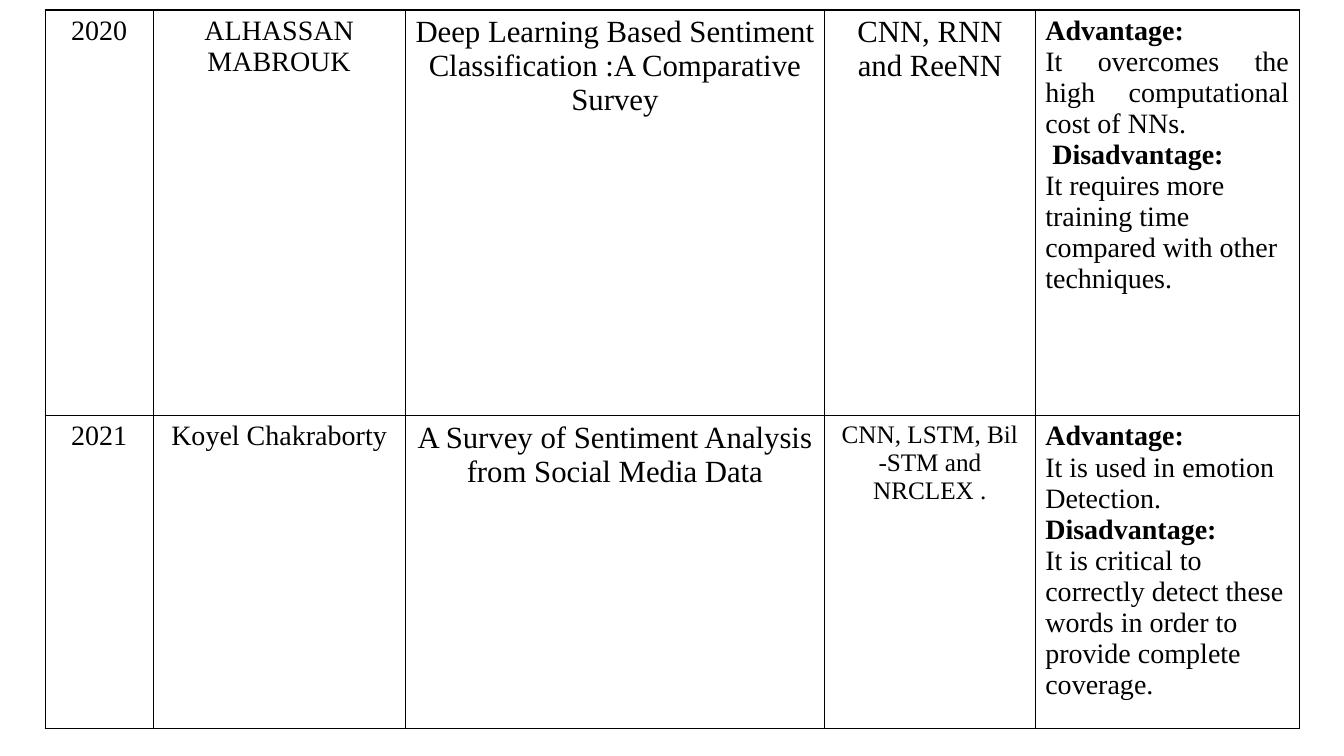
from lxml import etree
from pptx import Presentation
from pptx.dml.color import RGBColor
from pptx.enum.text import PP_ALIGN as AL
from pptx.oxml import parse_xml
from pptx.oxml.ns import nsdecls
from pptx.util import Cm, Pt


def color(value):
    return RGBColor.from_string(value)


def add_border(cell, side, index):
    line = parse_xml(
        f'<a:{side} {nsdecls("a")} w="12192"><a:solidFill>'
        f'<a:srgbClr val="000000"/></a:solidFill></a:{side}>')
    cell._tc.get_or_add_tcPr().insert(index, line)


FONT = "Times New Roman"
C, J, L = AL.CENTER, AL.JUSTIFY, AL.LEFT

papers = [
    [
        (20, [("2020", C)]),
        (20, [("ALHASSAN MABROUK", C)]),
        (22, [("Deep Learning Based Sentiment Classification :A Comparative Survey", C)]),
        (22, [("CNN, RNN and ReeNN", C)]),
        (20, [
            ("Advantage:", J),
            ("It overcomes the high computational cost of NNs.", J),
            ("\u00a0Disadvantage:", L),
            ("It requires more training time compared with other techniques.", L),
        ]),
    ],
    [
        (20, [("2021", C)]),
        (20, [("Koyel Chakraborty", C)]),
        (22, [("A Survey of Sentiment Analysis", C), ("from Social Media Data", C)]),
        (18, [("CNN, LSTM, Bil -STM and NRCLEX .", C)]),
        (20, [
            ("Advantage:", J),
            ("It is used in emotion", J),
            ("Detection.", J),
            ("Disadvantage:", J),
            ("It is critical to correctly detect these words in order to provide complete coverage.", L),
        ]),
    ],
]
col_widths = [2.72, 6.35, 10.57, 5.31, 6.65]
row_heights = [10.23, 7.88]

prs = Presentation()
prs.slide_width, prs.slide_height = Cm(33.87), Cm(19.05)
s = prs.slides.add_slide(prs.slide_layouts[6])

table = s.shapes.add_table(
    len(row_heights), len(col_widths), Cm(1.14), Cm(0.25),
    Cm(sum(col_widths)), Cm(sum(row_heights))).table
table.first_row = False
table.horz_banding = False
for col, width in zip(table.columns, col_widths):
    col.width = Cm(width)
for row, height in zip(table.rows, row_heights):
    row.height = Cm(height)

for row, paper in zip(table.rows, papers):
    for cell, (size, lines) in zip(row.cells, paper):
        cell.fill.background()
        for index, side in enumerate(["lnL", "lnR", "lnT", "lnB"]):
            add_border(cell, side, index)
        tf = cell.text_frame
        tf.text = "\n".join(text for text, _ in lines)
        for p, (text, align) in zip(tf.paragraphs, lines):
            p.alignment = align
            r = p.runs[0]
            r.font.name = FONT
            r.font.size = Pt(size)
            r.font.bold = text.endswith("dvantage:")
            r.font.color.rgb = color("000000")

prs.save("out.pptx")
